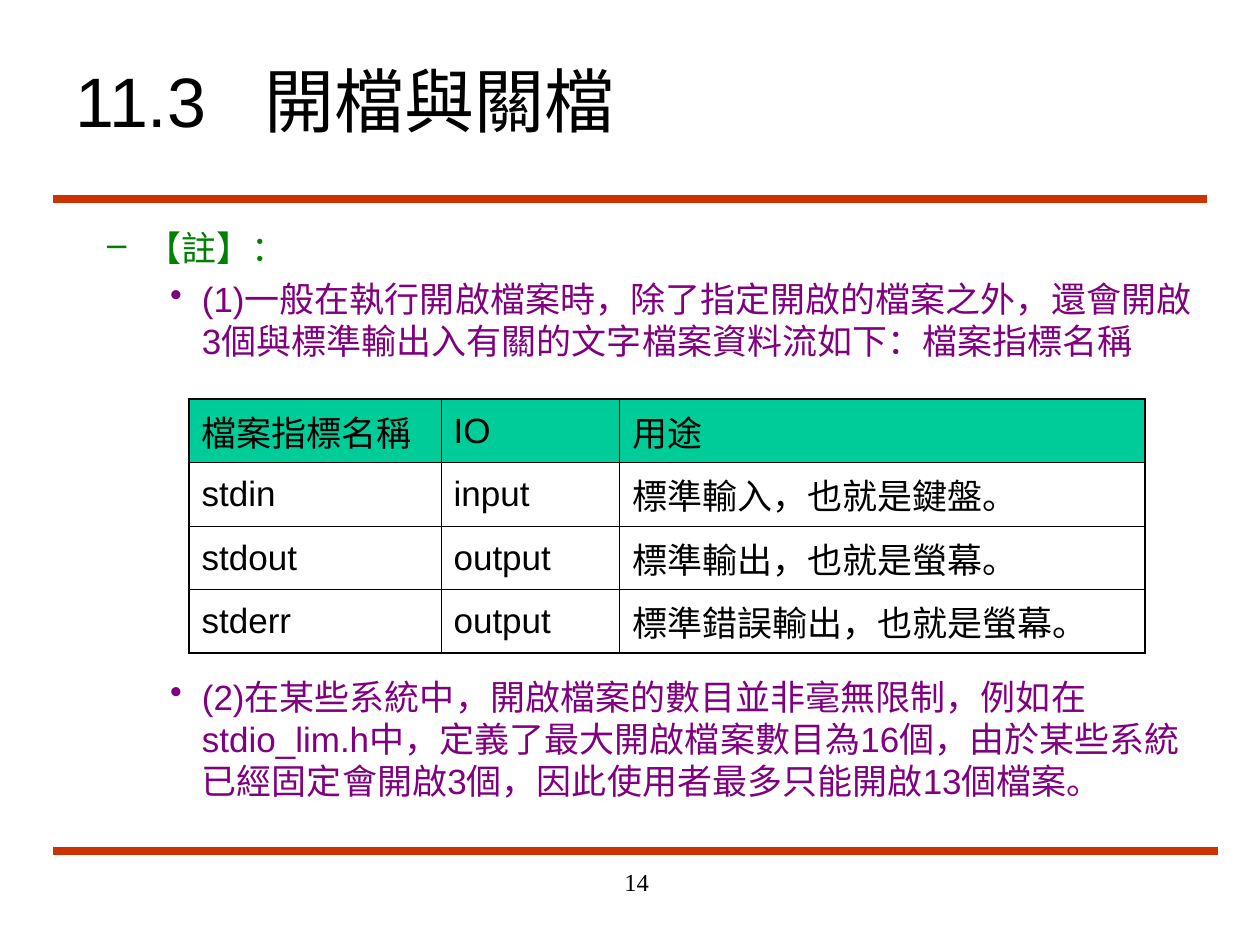
from lxml import etree
from pptx import Presentation
from pptx.dml.color import RGBColor
from pptx.enum import shapes, text
from pptx.oxml.ns import qn
from pptx.util import Cm, Pt

HUES = {"black": "000000", "red": "CC3300", "green": "008000",
        "plum": "800080", "teal": "00CC99"}


def hue(name):
    return RGBColor.from_string(HUES[name])


def write(para, words, size=20, font="Arial", color="black", mark=None,
          left=0, hang=0, tab=None, gap=0, align=None):
    """Fill a paragraph; left, hang and tab are in cm, gap in points."""
    props = para._p.get_or_add_pPr()
    props.set("marL", str(Cm(left)))
    props.set("indent", str(Cm(-hang)))
    para.space_before = Pt(gap)
    if mark:
        tint = etree.SubElement(props, qn("a:buClr"))
        etree.SubElement(tint, qn("a:srgbClr"), val=HUES[color])
        etree.SubElement(props, qn("a:buChar"), char=mark)
    if tab:
        stops = etree.SubElement(props, qn("a:tabLst"))
        etree.SubElement(stops, qn("a:tab"), pos=str(Cm(tab)), algn="l")
    para.alignment = align
    run = para.add_run()
    run.text = words
    run.font.size = Pt(size)
    run.font.name = font
    run.font.color.rgb = hue(color)


deck = Presentation()
deck.slide_width, deck.slide_height = Cm(25.4), Cm(19.05)
slide = deck.slides.add_slide(deck.slide_layouts[6])

# Rules above and below the body
for right, y in ((24.33, 4.01), (24.56, 17.15)):
    rule = slide.shapes.add_connector(
        shapes.MSO_CONNECTOR.STRAIGHT, Cm(1.07), Cm(y), Cm(right), Cm(y))
    rule.line.color.rgb = hue("red")
    rule.line.width = Pt(4.5)
    etree.SubElement(rule._element.spPr, qn("a:effectLst"))

# Title, notes and page number
note = dict(color="green", mark="–", left=2.06, hang=0.79)
item = dict(color="plum", mark="•", left=3.18, hang=0.64)
boxes = [
    ((1.27, 0.84, 22.23, 2.34), "MIDDLE",
     [("11.3\t開檔與關檔", dict(size=40, tab=5.08))]),
    ((0.64, 4.45, 23.93, 3.4), "TOP",
     [("【註】：", note),
      ("(1)一般在執行開啟檔案時，除了指定開啟的檔案之外，還會開啟"
       "3個與標準輸出入有關的文字檔案資料流如下：檔案指標名稱",
       dict(item, gap=5))]),
    ((0.64, 13.49, 23.93, 3.45), "TOP",
     [("(2)在某些系統中，開啟檔案的數目並非毫無限制，例如在"
       "stdio_lim.h中，定義了最大開啟檔案數目為16個，由於某些系統"
       "已經固定會開啟3個，因此使用者最多只能開啟13個檔案。", item)]),
    ((8.05, 17.35, 5.28, 1.27), "TOP",
     [("14", dict(size=14, font="Times New Roman",
                  align=text.PP_ALIGN.RIGHT))]),
]
for place, anchor, lines in boxes:
    frame = slide.shapes.add_textbox(*map(Cm, place)).text_frame
    frame.word_wrap = True
    frame.vertical_anchor = text.MSO_ANCHOR[anchor]
    for n, (words, form) in enumerate(lines):
        para = frame.add_paragraph() if n else frame.paragraphs[0]
        write(para, words, **form)

# Standard streams
rows = [
    ("檔案指標名稱", "IO", "用途"),
    ("stdin", "input", "標準輸入，也就是鍵盤。"),
    ("stdout", "output", "標準輸出，也就是螢幕。"),
    ("stderr", "output", "標準錯誤輸出，也就是螢幕。"),
]
widths = (5.08, 3.6, 10.59)
high = 1.28
table = slide.shapes.add_table(
    len(rows), len(widths), Cm(3.81), Cm(8.05),
    Cm(sum(widths)), Cm(high * len(rows))).table
table.horz_banding = False
for col, wide in zip(table.columns, widths):
    col.width = Cm(wide)
for r, row in enumerate(rows):
    table.rows[r].height = Cm(high)
    for c, words in enumerate(row):
        cell = table.cell(r, c)
        cell.vertical_anchor = text.MSO_ANCHOR.MIDDLE
        write(cell.text_frame.paragraphs[0], words)
        props = cell._tc.get_or_add_tcPr()
        outer = {"L": c == 0, "R": c == len(widths) - 1,
                 "T": r == 0, "B": r == len(rows) - 1}
        for side, edge in outer.items():
            line = etree.SubElement(props, qn("a:ln" + side),
                                    w=str(Pt(1.08 if edge else 0.45)))
            ink = etree.SubElement(line, qn("a:solidFill"))
            etree.SubElement(ink, qn("a:srgbClr"), val=HUES["black"])
        if r == 0:
            cell.fill.solid()
            cell.fill.fore_color.rgb = hue("teal")
        else:
            cell.fill.background()

deck.save("out.pptx")
